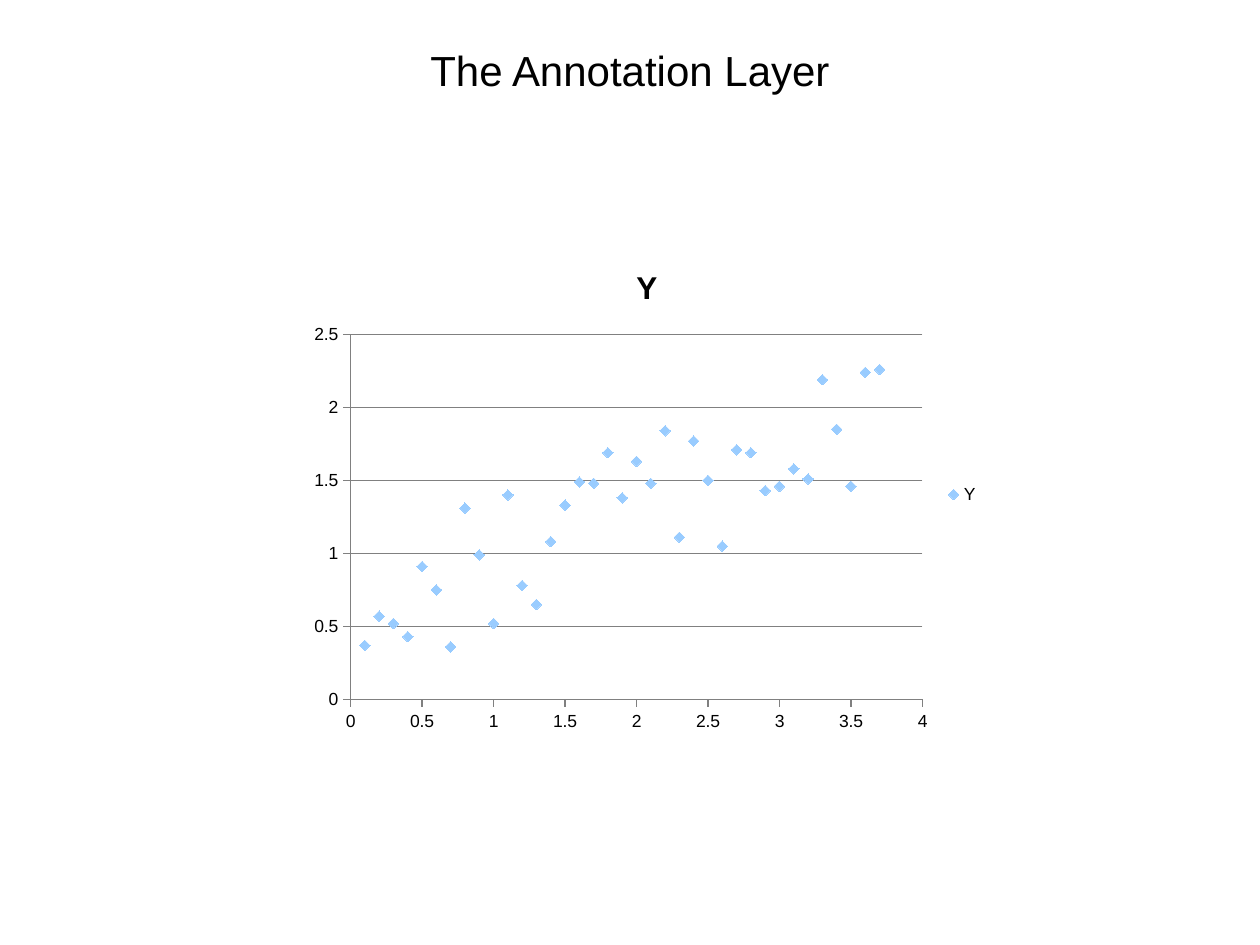
from pptx import Presentation
from pptx.chart.data import XyChartData
from pptx.dml.color import RGBColor
from pptx.enum.chart import XL_CHART_TYPE, XL_LEGEND_POSITION, XL_MARKER_STYLE, XL_TICK_MARK
from pptx.enum.text import MSO_ANCHOR, PP_ALIGN
from pptx.oxml import parse_xml
from pptx.oxml.ns import nsdecls
from pptx.util import Pt

BLACK = RGBColor(0x00, 0x00, 0x00)
GRAY = RGBColor(0x80, 0x80, 0x80)
SKY = RGBColor(0x99, 0xCC, 0xFF)


def style_font(font, size, bold=False):
    for name, value in {"name": "Arial", "size": Pt(size), "bold": bold}.items():
        setattr(font, name, value)
    font.color.rgb = BLACK


deck = Presentation()
deck.slide_width, deck.slide_height = Pt(720), Pt(540)
page = deck.slides.add_slide(deck.slide_layouts[6])

box = page.shapes.add_textbox(Pt(36), Pt(21.6), Pt(648), Pt(90))
frame = box.text_frame
frame.word_wrap = True
frame.vertical_anchor = MSO_ANCHOR.TOP
para = frame.paragraphs[0]
para.alignment = PP_ALIGN.CENTER
span = para.add_run()
span.text = "The Annotation Layer"
style_font(span.font, 24)

y_values = [
    0.37, 0.57, 0.52, 0.43, 0.91, 0.75, 0.36, 1.31, 0.99, 0.52,
    1.4, 0.78, 0.65, 1.08, 1.33, 1.49, 1.48, 1.69, 1.38, 1.63,
    1.48, 1.84, 1.11, 1.77, 1.5, 1.05, 1.71, 1.69, 1.43, 1.46,
    1.58, 1.51, 2.19, 1.85, 1.46, 2.24, 2.26,
]
data = XyChartData()
points = data.add_series("Y")
for step, y in enumerate(y_values, 1):
    points.add_data_point(step / 10, y)

chart = page.shapes.add_chart(
    XL_CHART_TYPE.XY_SCATTER, Pt(172.8), Pt(139.7), Pt(393.8), Pt(285.8), data
).chart
style_font(chart.font, 10)
chart.has_title = True
title = chart.chart_title.text_frame
title.text = "Y"
style_font(title.paragraphs[0].runs[0].font, 18, True)
chart.has_legend = True
chart.legend.position = XL_LEGEND_POSITION.RIGHT
chart.legend.include_in_layout = False

for axis, top in ((chart.category_axis, 4), (chart.value_axis, 2.5)):
    settings = {
        "minimum_scale": 0,
        "maximum_scale": top,
        "major_unit": 0.5,
        "major_tick_mark": XL_TICK_MARK.OUTSIDE,
        "minor_tick_mark": XL_TICK_MARK.NONE,
        "has_major_gridlines": axis is chart.value_axis,
    }
    for name, value in settings.items():
        setattr(axis, name, value)
    axis.tick_labels.number_format = "General"
    axis.tick_labels.number_format_is_linked = False
    axis.format.line.color.rgb = GRAY
    axis.format.line.width = Pt(0.75)

gridlines = chart.value_axis.major_gridlines.format.line
gridlines.color.rgb = GRAY
gridlines.width = Pt(0.75)

plot = chart.plots[0]
plot.vary_by_categories = False
series = plot.series[0]
series.smooth = False
series.format.line.fill.background()
series.marker.style = XL_MARKER_STYLE.DIAMOND
series.marker.size = 6
series.marker.format.fill.solid()
series.marker.format.fill.fore_color.rgb = SKY
series.marker.format.line.fill.background()

plot_area = chart.element.chart.plotArea
for old_layout in plot_area.xpath("c:layout"):
    plot_area.remove(old_layout)
plot_area.insert(0, parse_xml(
    f'<c:layout {nsdecls("c")}><c:manualLayout><c:layoutTarget val="inner"/>'
    '<c:xMode val="edge"/><c:yMode val="edge"/>'
    '<c:x val="0.07"/><c:y val="0.18"/><c:w val="0.83"/><c:h val="0.73"/>'
    '</c:manualLayout></c:layout>'
))

deck.save("out.pptx")
